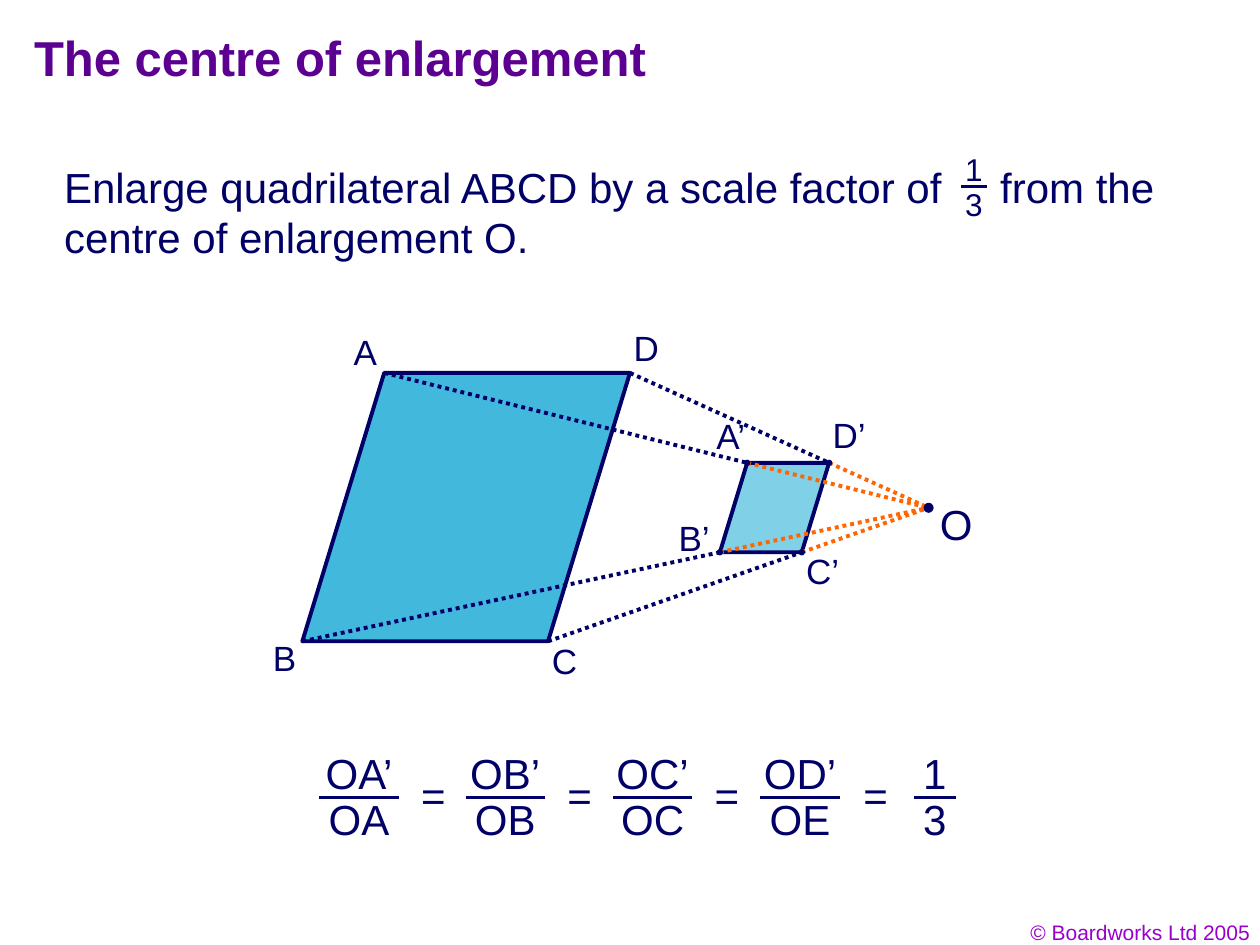
from pptx import Presentation
from pptx.dml.color import RGBColor
from pptx.enum.dml import MSO_LINE
from pptx.enum.shapes import MSO_CONNECTOR, MSO_SHAPE
from pptx.enum.text import MSO_ANCHOR, PP_ALIGN
from pptx.oxml.ns import qn
from pptx.util import Inches, Pt
from lxml import etree

LEFT, CENTER, RIGHT = PP_ALIGN.LEFT, PP_ALIGN.CENTER, PP_ALIGN.RIGHT
MIDDLE = MSO_ANCHOR.MIDDLE
DOTTED = MSO_LINE.ROUND_DOT
STRAIGHT = MSO_CONNECTOR.STRAIGHT
PARALLELOGRAM, OVAL = MSO_SHAPE.PARALLELOGRAM, MSO_SHAPE.OVAL
THEME = {
    "font": "Arial",
    "title": RGBColor.from_string("5B0091"),
    "text": RGBColor.from_string("010066"),
    "ink": RGBColor.from_string("000066"),
    "ray": RGBColor.from_string("FF6600"),
    "object": RGBColor.from_string("43B8DD"),
    "image": RGBColor.from_string("80D0E8"),
    "footer": RGBColor.from_string("9900CC"),
    "title_pt": 28, "body_pt": 24, "label_pt": 20, "small_pt": 18, "footer_pt": 12,
}

prs = Presentation()
prs.slide_width, prs.slide_height = Inches(10), Inches(7.5)
COL, ROW = prs.slide_width / 100, prs.slide_height / 75
s = prs.slides.add_slide(prs.slide_layouts[5])


def write(text, x, y, w, h, size="body_pt", color="text", align=CENTER, wrap=False, tab=None):
    sp = s.shapes.add_textbox(int(x * COL), int(y * ROW), int(w * COL), int(h * ROW))
    tf = sp.text_frame
    tf.word_wrap = wrap
    p = tf.paragraphs[0]
    p.alignment = align
    if tab:
        tabs = etree.SubElement(p._p.get_or_add_pPr(), qn("a:tabLst"))
        etree.SubElement(tabs, qn("a:tab"), pos=str(int(tab * COL)), algn="l")
    r = p.add_run()
    r.text = text
    fmt = {"name": THEME["font"], "size": Pt(THEME[size])}
    for key, value in fmt.items():
        setattr(r.font, key, value)
    r.font.color.rgb = THEME[color]


def rule(start, end, color="ink", width=2.25, dash=None):
    (x1, y1), (x2, y2) = start, end
    c = s.shapes.add_connector(STRAIGHT, int(x1 * COL), int(y1 * ROW),
                               int(x2 * COL), int(y2 * ROW))
    c.line.color.rgb = THEME[color]
    c.line.width = Pt(width)
    if dash:
        c.line.dash_style = dash
    etree.SubElement(c._element.spPr, qn("a:effectLst"))


title = s.shapes.title
frame = {"left": 1.7 * COL, "top": 1.7 * ROW, "width": 85 * COL, "height": 6.7 * ROW}
for key, value in frame.items():
    setattr(title, key, int(value))
tf = title.text_frame
tf.text = "The centre of enlargement"
for key, value in {"vertical_anchor": MIDDLE, "margin_bottom": Inches(0.15)}.items():
    setattr(tf, key, value)
p = tf.paragraphs[0]
p.alignment = LEFT
for key, value in {"name": THEME["font"], "size": Pt(THEME["title_pt"]), "bold": True}.items():
    setattr(p.font, key, value)
p.font.color.rgb = THEME["title"]

write("© Boardworks Ltd 2005", 76.9, 72.5, 23.3, 3, "footer_pt", "footer", RIGHT, True)
write("Enlarge quadrilateral ABCD by a scale factor of\tfrom the centre of enlargement O.",
      4.1, 12.3, 93.1, 9, align=LEFT, wrap=True, tab=74.3)

O = (73.7, 40.3)
SCALE = 1 / 3
vertices = {"A": (30.5, 29.6), "B": (24, 50.9), "C": (43.5, 50.9), "D": (50, 29.6)}
images = {n: tuple(o + (v - o) * SCALE for o, v in zip(O, xy)) for n, xy in vertices.items()}

for corners, fill in ((images, "image"), (vertices, "object")):
    x, y = corners["B"][0], corners["A"][1]
    w, h = corners["D"][0] - x, corners["B"][1] - y
    sp = s.shapes.add_shape(PARALLELOGRAM, int(x * COL), int(y * ROW),
                            int(w * COL), int(h * ROW))
    sp.adjustments[0] = (corners["A"][0] - x) / h
    sp.shadow.inherit = False
    sp.fill.solid()
    sp.fill.fore_color.rgb = THEME[fill]
    sp.line.color.rgb = THEME["ink"]
    sp.line.width = Pt(2.25)

for name in vertices:
    rule(vertices[name], images[name], dash=DOTTED)
for name in images:
    rule(images[name], O, "ray", dash=DOTTED)

for (x, y), size in [(O, 0.8)] + [(xy, 0.5) for xy in images.values()]:
    sp = s.shapes.add_shape(OVAL, int((x - size / 2) * COL), int((y - size / 2) * ROW),
                            int(size * COL), int(size * ROW))
    sp.shadow.inherit = False
    sp.fill.solid()
    sp.fill.fore_color.rgb = THEME["ink"]
    sp.line.fill.background()

write("O", 73.6, 39.1, 4.6, 5)
for text, x, y in (("A", 27, 25.7), ("B", 20.6, 50), ("C", 42.8, 50.3), ("D", 49.3, 25.4),
                   ("A’", 55.7, 32.4), ("B’", 52.8, 40.5), ("C’", 63, 43.1), ("D’", 65.1, 32.3)):
    write(text, x, y, 4 if len(text) == 1 else 4.6, 4.4, "label_pt")

for text, y in (("1", 11.4), ("3", 14.2)):
    write(text, 75.6, y, 3.4, 4, "small_pt")
rule((76.3, 14.8), (78.3, 14.8), width=1.5)

RATIO_W = 10
ratios = (("OA’", "OA", 28.5, 6.3), ("OB’", "OB", 40.1, 6.3), ("OC’", "OC", 51.8, 6.3),
          ("OD’", "OE", 63.5, 6.3), ("1", "3", 74.2, 3.3))
for top, bottom, x, bar in ratios:
    for text, y in ((top, 58.8), (bottom, 62.5)):
        write(text, x - RATIO_W / 2, y, RATIO_W, 5)
    rule((x - bar / 2, 63.3), (x + bar / 2, 63.3), width=1.5)
for x in (34.4, 46, 57.7, 69.5):
    write("=", x - 2, 60.6, 4, 5)

prs.save("out.pptx")
